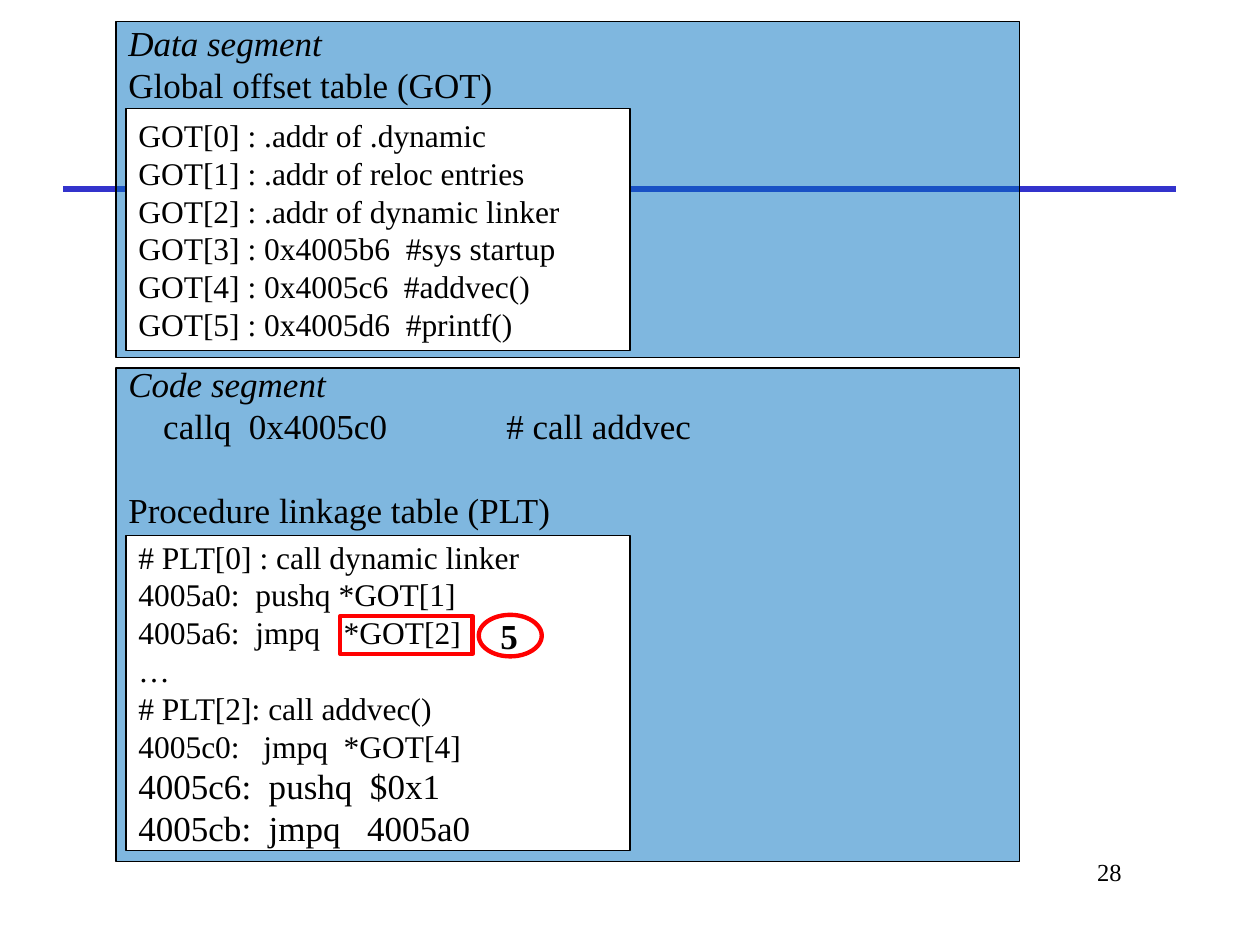
from pptx import Presentation
from pptx.dml.color import RGBColor
from pptx.enum.shapes import MSO_CONNECTOR, MSO_SHAPE
from pptx.enum.text import MSO_ANCHOR, PP_ALIGN
from pptx.oxml import parse_xml
from pptx.oxml.ns import nsdecls
from pptx.util import Inches, Pt

FACE = "Times New Roman"
BLACK, WHITE, RED, BLUE, RULE = "000000", "FFFFFF", "FF0000", "0070C0", "3333CC"
BODY = {"size": 18}
HEAD = {"size": 20}
TITLE = {"size": 20, "italic": True}

GOT = [(line, BODY) for line in (
    "GOT[0] : .addr of .dynamic",
    "GOT[1] : .addr of reloc entries",
    "GOT[2] : .addr of dynamic linker",
    "GOT[3] : 0x4005b6  #sys startup",
    "GOT[4] : 0x4005c6  #addvec()",
    "GOT[5] : 0x4005d6  #printf()",
)]
PLT = [(line, BODY) for line in (
    "# PLT[0] : call dynamic linker",
    "4005a0:  pushq *GOT[1]",
    "4005a6:  jmpq   *GOT[2]",
    "…",
    "# PLT[2]: call addvec()",
    "4005c0:   jmpq  *GOT[4]",
)] + [(line, HEAD) for line in (
    "4005c6:  pushq  $0x1",
    "4005cb:  jmpq   4005a0",
)]
DATA = [("Data segment", TITLE), ("Global offset table (GOT)", HEAD)]
CODE = [
    ("Code segment", TITLE),
    ("    callq  0x4005c0\t# call addvec", {**HEAD, "tab": 3}),
    ("Procedure linkage table (PLT)", {**HEAD, "before": 24}),
]


def tint(color, value):
    """Set a colour from a hex string."""
    color.rgb = RGBColor.from_string(value)


def write(frame, lines, align=PP_ALIGN.LEFT):
    """Write styled lines, one paragraph each, at 1.2 times the type size."""
    frame.word_wrap = True
    for index, (text, style) in enumerate(lines):
        para = frame.paragraphs[0] if index == 0 else frame.add_paragraph()
        para.text = text
        looks = {"alignment": align, "line_spacing": Pt(style["size"] * 1.2),
                 "space_before": Pt(style.get("before", 0))}
        for name, value in looks.items():
            setattr(para, name, value)
        if "tab" in style:
            para._p.get_or_add_pPr().append(parse_xml(
                f'<a:tabLst {nsdecls("a")}>'
                f'<a:tab pos="{Inches(style["tab"])}" algn="l"/></a:tabLst>'))
        for run in para.runs:
            font = {"name": FACE, "size": Pt(style["size"]),
                    "bold": style.get("bold", False),
                    "italic": style.get("italic", False)}
            for name, value in font.items():
                setattr(run.font, name, value)
            tint(run.font.color, BLACK)


def block(shapes, box, fill=None, line=BLACK, width=0.75, kind=MSO_SHAPE.RECTANGLE):
    """Draw a preset shape in a box and return it."""
    shape = shapes.add_shape(kind, *map(Inches, box))
    shape.shadow.inherit = False
    if fill:
        shape.fill.solid()
        tint(shape.fill.fore_color, fill)
    else:
        shape.fill.background()
    tint(shape.line.color, line)
    shape.line.width = Pt(width)
    shape.text_frame.vertical_anchor = MSO_ANCHOR.MIDDLE
    return shape


def segment(shapes, box, heads, inset, inner, rows):
    """Draw a half-clear segment with its headings and its white table."""
    panel = block(shapes, box, BLUE)
    fill = panel.fill._xPr.find(".//" + "{http://schemas.openxmlformats.org/drawingml/2006/main}srgbClr")
    fill.append(parse_xml(f'<a:alpha {nsdecls("a")} val="50000"/>'))
    frame = panel.text_frame
    frame.vertical_anchor = MSO_ANCHOR.TOP
    frame.margin_top = Inches(inset)
    write(frame, heads)
    table = block(shapes, inner, WHITE)
    write(table.text_frame, rows)


def marker(shapes, oval, frame, label):
    """Ring a step number and frame the operand it refers to."""
    ring = block(shapes, oval, None, RED, 2.5, MSO_SHAPE.OVAL)
    write(ring.text_frame, [(label, {"size": 20, "bold": True})])
    block(shapes, frame, None, RED, 2.5)


def rule(shapes, left, right, top):
    """Draw the level rule behind the segments."""
    line = shapes.add_connector(MSO_CONNECTOR.STRAIGHT, *map(Inches, (left, top, right, top)))
    tint(line.line.color, RULE)
    line.line.width = Pt(3)
    line._element.spPr.append(parse_xml(f'<a:effectLst {nsdecls("a")}/>'))


def number(shapes, box, text):
    """Write the slide number."""
    note = shapes.add_textbox(*map(Inches, box))
    write(note.text_frame, [(text, {"size": 14})], PP_ALIGN.RIGHT)


def main():
    """Build the slide and save it."""
    deck = Presentation()
    deck.slide_width, deck.slide_height = Inches(10), Inches(7.5)
    shapes = deck.slides.add_slide(deck.slide_layouts[6]).shapes
    rule(shapes, 0.5, 9.33, 1.5)
    number(shapes, (7.58, 6.75, 1.42, 0.5), "28")
    group = shapes.add_group_shape()
    segment(group.shapes, (0.92, 0.17, 7.17, 2.67), DATA, 0, (1, 0.86, 4, 1.92), GOT)
    segment(shapes, (0.92, 2.92, 7.17, 3.92), CODE, -0.04, (1, 4.25, 4, 2.5), PLT)
    marker(shapes, (3.8, 4.88, 0.5, 0.33), (2.7, 4.89, 1.05, 0.3), "5")
    deck.save("out.pptx")


if __name__ == "__main__":
    main()
